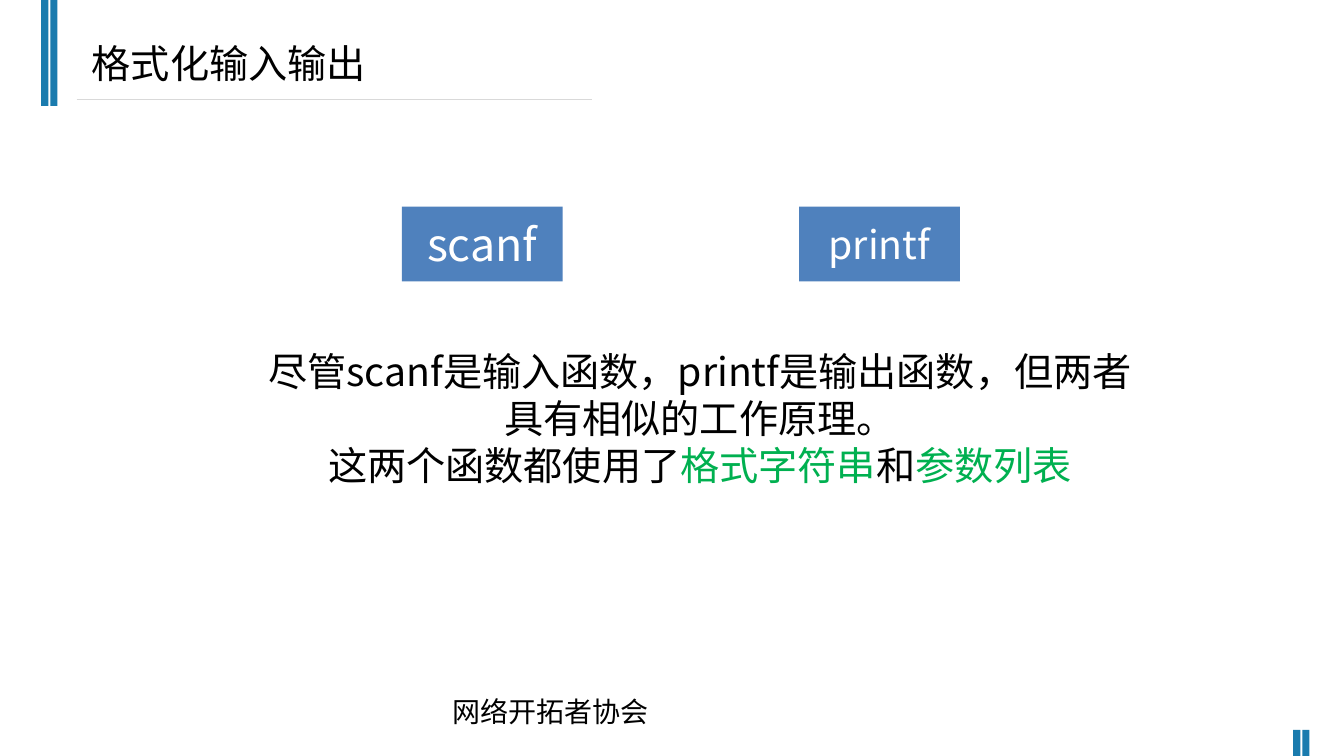
from dataclasses import dataclass

import pptx
import pptx.dml.color
import pptx.enum.shapes
import pptx.enum.text
import pptx.oxml
import pptx.oxml.ns
import pptx.util
from pptx.util import Cm

ALIGN = pptx.enum.text.PP_ALIGN
ANCHOR = pptx.enum.text.MSO_ANCHOR
RECTANGLE = pptx.enum.shapes.MSO_SHAPE.RECTANGLE


@dataclass(frozen=True)
class Theme:
    font: str = "Noto Sans CJK SC"
    text: str = "000000"
    light: str = "FFFFFF"
    accent: str = "1A7BAE"
    box: str = "4F81BD"
    rule: str = "D9D9D9"
    highlight: str = "00B050"
    footer_size: int = 20
    body_size: int = 28
    large_size: int = 32
    line_factor: float = 1.2


THEME = Theme()


def rgb(value):
    return pptx.dml.color.RGBColor.from_string(value)


def write_text(shape, paragraphs, size=THEME.body_size, color=THEME.text,
               align=ALIGN.LEFT, anchor=ANCHOR.TOP, tight=True):
    """Fill a shape with paragraphs, each a list of (text, color or None) runs."""
    frame = shape.text_frame
    frame.word_wrap = True
    frame.auto_size = pptx.enum.text.MSO_AUTO_SIZE.NONE
    frame.vertical_anchor = anchor
    if tight:
        frame.margin_top = Cm(0.23)
    for index, runs in enumerate(paragraphs):
        paragraph = frame.add_paragraph() if index else frame.paragraphs[0]
        paragraph.alignment = align
        paragraph.space_before = pptx.util.Pt(0)
        if tight:
            paragraph.line_spacing = pptx.util.Pt(size * THEME.line_factor)
        for text, run_color in runs:
            run = paragraph.add_run()
            run.text = text
            run.font.size = pptx.util.Pt(size)
            run.font.name = THEME.font
            run.font.color.rgb = rgb(run_color or color)
            east_asian = pptx.oxml.parse_xml(
                f'<a:ea {pptx.oxml.ns.nsdecls("a")} typeface="{THEME.font}"/>')
            run.font._element.find(pptx.oxml.ns.qn("a:latin")).addnext(east_asian)


def add_rectangle(slide, left, top, width, height, color):
    shape = slide.shapes.add_shape(
        RECTANGLE, Cm(left), Cm(top), Cm(width), Cm(height))
    shape.shadow.inherit = False
    shape.fill.solid()
    shape.fill.fore_color.rgb = rgb(color)
    shape.line.fill.background()
    return shape


def add_double_bar(slide, left, top, height):
    for index in range(2):
        add_rectangle(slide, left + index * 0.23, top, 0.18, height, THEME.accent)


def add_heading(slide, left, top, width, height, text):
    title = slide.shapes.title
    title.left, title.top = Cm(left), Cm(top)
    title.width, title.height = Cm(width), Cm(height)
    write_text(title, [[(text, None)]])
    rule_left, rule_top = left - 0.13, top + 1.75
    rule = slide.shapes.add_connector(
        pptx.enum.shapes.MSO_CONNECTOR.STRAIGHT,
        Cm(rule_left), Cm(rule_top), Cm(rule_left + 13), Cm(rule_top))
    rule.line.color.rgb = rgb(THEME.rule)
    rule.line.width = pptx.util.Pt(0.75)
    rule._element.spPr.append(pptx.oxml.parse_xml(
        f'<a:effectLst {pptx.oxml.ns.nsdecls("a")}/>'))


def add_function_boxes(slide, left, top, width, height):
    """Place one box at each end of the region."""
    box_width = 4.05
    functions = [("scanf", THEME.large_size), ("printf", THEME.body_size)]
    for index, (name, size) in enumerate(functions):
        box = add_rectangle(slide, left + index * (width - box_width), top,
                            box_width, height, THEME.box)
        write_text(box, [[(name, None)]], size=size, color=THEME.light,
                   align=ALIGN.CENTER, anchor=ANCHOR.MIDDLE, tight=False)


def add_text(slide, left, top, width, height, paragraphs, **text_format):
    shape = slide.shapes.add_textbox(Cm(left), Cm(top), Cm(width), Cm(height))
    write_text(shape, paragraphs, **text_format)


def main():
    presentation = pptx.Presentation()
    presentation.slide_width, presentation.slide_height = Cm(33.87), Cm(19.05)
    slide = presentation.slides.add_slide(presentation.slide_layouts[5])

    add_text(slide, 11.15, 17.27, 9.7, 1.11, [[("网络开拓者协会", None)]],
             size=THEME.footer_size)
    add_double_bar(slide, 1.04, 0, 2.67)
    add_double_bar(slide, 32.59, 18.39, 0.66)
    add_heading(slide, 2.06, 0.76, 22.6, 1.88, "格式化输入输出")
    add_function_boxes(slide, 10.13, 5.21, 14.06, 1.88)
    add_text(slide, 6.45, 8.53, 22.38, 5.03, [
        [("尽管scanf是输入函数，printf是输出函数，但两者具有相似的工作原理。", None)],
        [("这两个函数都使用了", None), ("格式字符串", THEME.highlight),
         ("和", None), ("参数列表", THEME.highlight)],
    ], align=ALIGN.CENTER)

    presentation.save("out.pptx")


if __name__ == "__main__":
    main()
